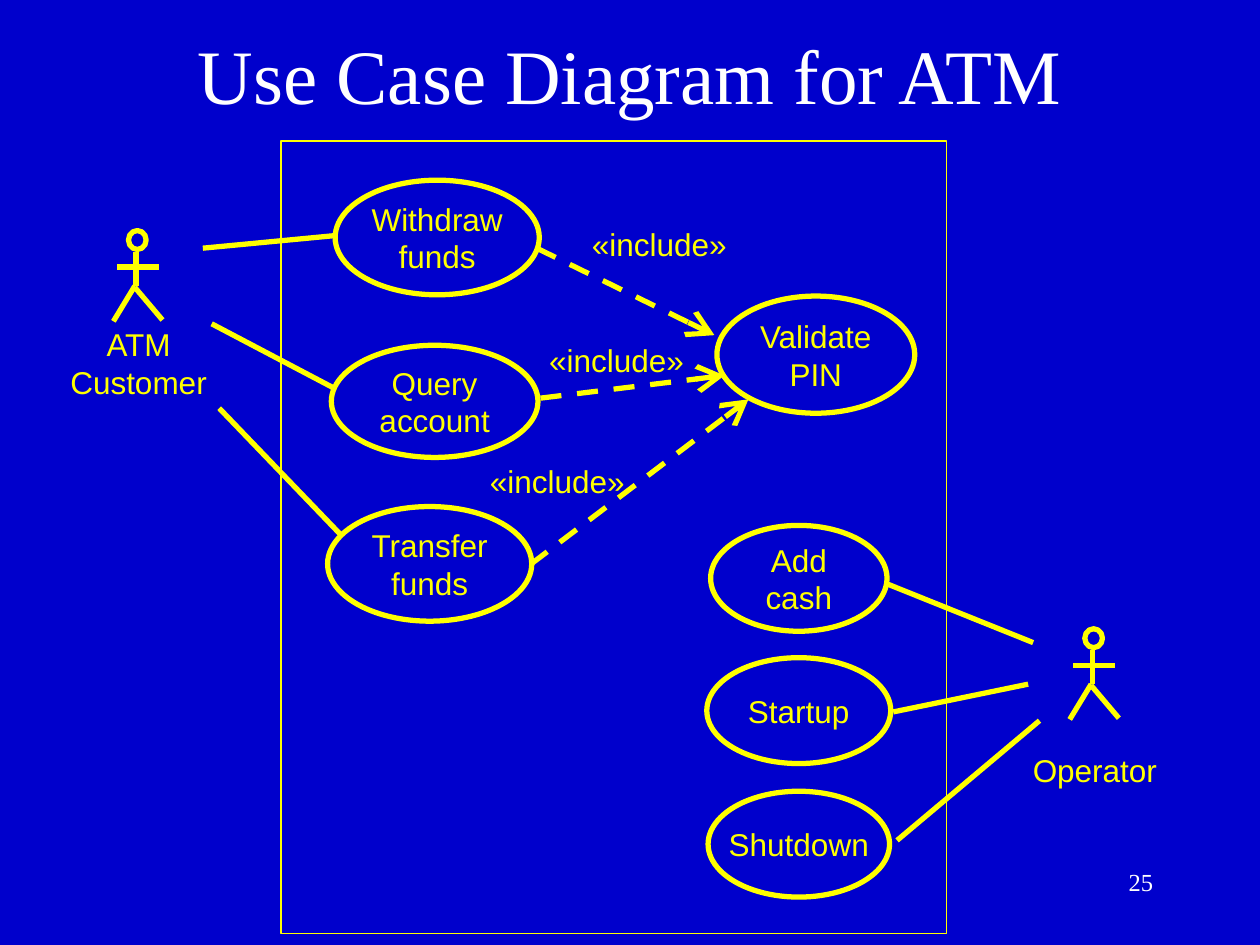
import pptx
import pptx.dml.color
import pptx.enum.dml
import pptx.enum.shapes
import pptx.enum.text
import pptx.oxml
import pptx.oxml.ns
import pptx.util

Inches = pptx.util.Inches
Pt = pptx.util.Pt
rgb = pptx.dml.color.RGBColor.from_string
Align = pptx.enum.text.PP_ALIGN
Anchor = pptx.enum.text.MSO_ANCHOR
Shape = pptx.enum.shapes.MSO_SHAPE

YELLOW, WHITE, BLUE = "FFFF00", "FFFFFF", "0000CC"


def write_text(frame, lines, align, font="Arial", size=18, color=YELLOW, wrap=False):
    frame.word_wrap = wrap
    for index, line in enumerate(lines):
        paragraph = frame.add_paragraph() if index else frame.paragraphs[0]
        paragraph.alignment = align
        run = paragraph.add_run()
        run.text = line
        run.font.name = font
        run.font.size = Pt(size)
        run.font.color.rgb = rgb(color)


def add_line(shapes, x1, y1, x2, y2):
    line = shapes.add_connector(pptx.enum.shapes.MSO_CONNECTOR.STRAIGHT,
                                Inches(x1), Inches(y1), Inches(x2), Inches(y2))
    line.line.color.rgb = rgb(YELLOW)
    line.line.width = Pt(3)
    properties = line.element.spPr
    properties.append(properties.makeelement(pptx.oxml.ns.qn("a:effectLst")))
    return line


presentation = pptx.Presentation()
presentation.slide_width, presentation.slide_height = Inches(10), Inches(7.5)
slide = presentation.slides.add_slide(presentation.slide_layouts[5])
slide.background.fill.solid()
slide.background.fill.fore_color.rgb = rgb(BLUE)

# Title
title = slide.shapes.title
title.left, title.top = Inches(0.75), Inches(0.17)
title.width, title.height = Inches(8.5), Inches(0.83)
title.text_frame.vertical_anchor = Anchor.MIDDLE
write_text(title.text_frame, ["Use Case Diagram for ATM"], Align.CENTER,
           "Times New Roman", 44, WHITE, wrap=True)

# System boundary
boundary = slide.shapes.add_shape(Shape.RECTANGLE, Inches(2.23), Inches(1.12),
                                  Inches(5.28), Inches(6.29))
boundary.shadow.inherit = False
boundary.fill.background()
boundary.line.color.rgb = rgb(YELLOW)
boundary.line.width = Pt(0.75)

# Use cases
use_cases = [
    (2.66, 1.43, 1.62, 0.91, ["Withdraw", "funds"]),
    (2.63, 2.74, 1.64, 0.89, ["Query", "account"]),
    (2.6, 4.02, 1.62, 0.91, ["Transfer", "funds"]),
    (5.69, 2.35, 1.57, 0.93, ["Validate", "PIN"]),
    (5.64, 4.17, 1.4, 0.84, ["Add", "cash"]),
    (5.61, 5.22, 1.46, 0.84, ["Startup"]),
    (5.62, 6.28, 1.44, 0.84, ["Shutdown"]),
]
for left, top, width, height, lines in use_cases:
    use_case = slide.shapes.add_shape(Shape.OVAL, Inches(left), Inches(top),
                                      Inches(width), Inches(height))
    use_case.shadow.inherit = False
    use_case.fill.background()
    use_case.line.color.rgb = rgb(YELLOW)
    use_case.line.width = Pt(3)
    use_case.text_frame.vertical_anchor = Anchor.MIDDLE
    write_text(use_case.text_frame, lines, Align.CENTER)

# Actors: head, arms, body and legs, placed from the figure's corner
limbs = [(0.03, 0.29, 0.36, 0.29), (0.18, 0.17, 0.18, 0.44),
         (0.17, 0.44, 0, 0.72), (0.17, 0.45, 0.39, 0.71)]
for left, top in [(0.9, 1.83), (8.49, 4.99)]:
    actor = slide.shapes.add_group_shape()
    head = actor.shapes.add_shape(Shape.FLOWCHART_CONNECTOR, Inches(left + 0.12),
                                  Inches(top), Inches(0.14), Inches(0.15))
    head.shadow.inherit = False
    head.fill.background()
    head.line.color.rgb = rgb(YELLOW)
    head.line.width = Pt(3)
    for x1, y1, x2, y2 in limbs:
        add_line(actor.shapes, left + x1, top + y1, left + x2, top + y2)

# Associations between actors and use cases
associations = [
    (1.61, 1.97, 2.66, 1.87), (1.68, 2.57, 2.65, 3.08), (1.74, 3.24, 2.72, 4.26),
    (8.2, 5.1, 7.03, 4.63), (8.16, 5.43, 7.09, 5.65), (8.25, 5.72, 7.12, 6.67),
]
for ends in associations:
    add_line(slide.shapes, *ends)

# Include dependencies
for ends in [(4.26, 1.97, 5.67, 2.66), (4.29, 3.16, 5.75, 2.98), (4.21, 4.48, 5.94, 3.17)]:
    dependency = add_line(slide.shapes, *ends)
    dependency.line.dash_style = pptx.enum.dml.MSO_LINE.DASH
    outline = dependency.line._get_or_add_ln()
    outline.append(outline.makeelement(pptx.oxml.ns.qn("a:tailEnd"),
                                       {"type": "arrow", "w": "lg", "len": "lg"}))

# Actor names and include labels, wide enough to keep each word on one line
labels = [
    (0.4, 2.53, 1.4, 0.7, ["ATM", "Customer"], Align.CENTER, Anchor.MIDDLE),
    (8.04, 5.91, 1.3, 0.4, ["Operator"], Align.CENTER, Anchor.MIDDLE),
]
for left, top in [(4.6, 1.74), (4.26, 2.66), (3.79, 3.62)]:
    labels.append((left, top, 1.3, 0.4, ["«include»"], Align.LEFT, Anchor.TOP))
for left, top, width, height, lines, align, anchor in labels:
    label = slide.shapes.add_textbox(Inches(left), Inches(top), Inches(width), Inches(height))
    label.text_frame.auto_size = pptx.enum.text.MSO_AUTO_SIZE.SHAPE_TO_FIT_TEXT
    label.text_frame.vertical_anchor = anchor
    write_text(label.text_frame, lines, align)

# Slide number
number = slide.shapes.add_textbox(Inches(7.17), Inches(6.83), Inches(2.08), Inches(0.5))
write_text(number.text_frame, ["25"], Align.RIGHT, "Times New Roman", 14, WHITE, wrap=True)

presentation.save("out.pptx")
